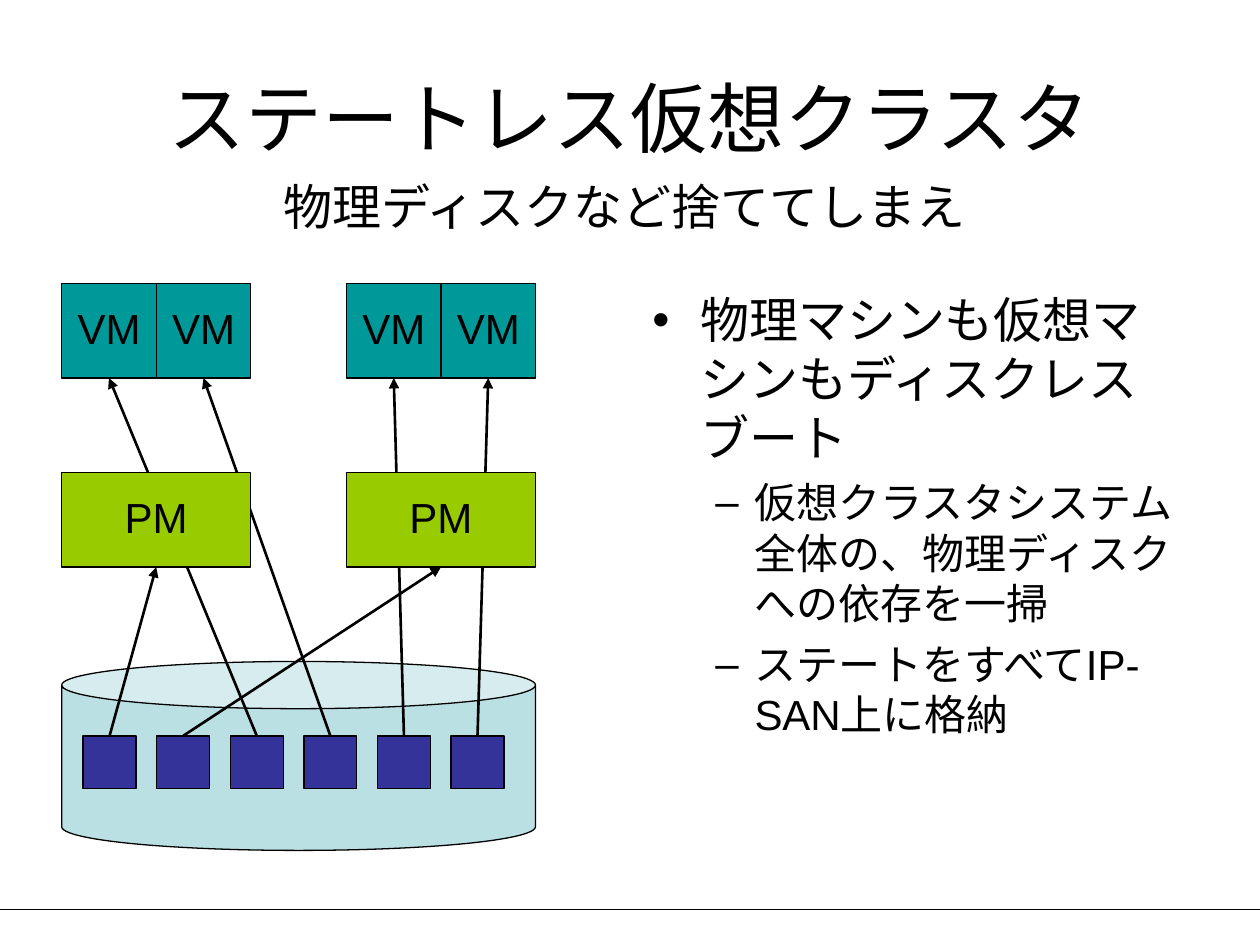
from lxml import etree
from pptx import Presentation
from pptx.dml.color import RGBColor
from pptx.enum.shapes import MSO_CONNECTOR, MSO_SHAPE
from pptx.enum.text import MSO_ANCHOR, PP_ALIGN
from pptx.oxml.ns import qn
from pptx.util import Inches, Pt

STRAIGHT = MSO_CONNECTOR.STRAIGHT
RECTANGLE, CAN = MSO_SHAPE.RECTANGLE, MSO_SHAPE.CAN
MIDDLE, TOP = MSO_ANCHOR.MIDDLE, MSO_ANCHOR.TOP
CENTER, LEFT = PP_ALIGN.CENTER, PP_ALIGN.LEFT
TITLE_ONLY = 5
TOP_SIDE, BOTTOM_SIDE = 0, 2

BLACK, TEAL, GREEN = "000000", "009999", "99CC00"
NAVY, PALE_BLUE = "333399", "BBE0E3"

GROUP_LEFTS = (0.49, 2.75)
UNIT = 0.75
DISK_COUNT, DISK_SIZE = 6, 0.42
FIRST_DISK, LAST_DISK = 0.66, 3.58

BULLETS = [
    ("物理マシンも仮想マシンもディスクレスブート", 0),
    ("仮想クラスタシステム全体の、物理ディスクへの依存を一掃", 1),
    ("ステートをすべてIP-SAN上に格納", 1),
]
# For each level: bullet, left margin, hanging indent, text size, space before
LEVELS = [("•", 0.38, 0.38, 28, 0), ("–", 0.81, 0.31, 24, 6)]


def colour(value):
    return RGBColor.from_string(value)


def write(para, text, size, align=LEFT):
    para.alignment = align
    span = para.add_run()
    span.text = text
    span.font.size = Pt(size)
    span.font.name = "Arial"
    span.font.color.rgb = colour(BLACK)


def set_frame(frame, anchor=MIDDLE, wrap=False, top=0):
    frame.word_wrap = wrap
    frame.vertical_anchor = anchor
    frame.margin_left = frame.margin_right = Inches(0.1)
    frame.margin_top, frame.margin_bottom = Inches(top), Inches(0.05)


def add_box(page, left, top, width, height, fill, text="", kind=RECTANGLE):
    box = page.shapes.add_shape(
        kind, Inches(left), Inches(top), Inches(width), Inches(height))
    box.shadow.inherit = False
    box.fill.solid()
    box.fill.fore_color.rgb = colour(fill)
    box.line.color.rgb = colour(BLACK)
    box.line.width = Pt(0.75)
    if text:
        set_frame(box.text_frame)
        write(box.text_frame.paragraphs[0], text, 24, CENTER)
    return box


def add_line(page, start, end, width):
    line = page.shapes.add_connector(
        STRAIGHT, *(Inches(value) for value in (*start, *end)))
    line.line.color.rgb = colour(BLACK)
    line.line.width = Pt(width)
    etree.SubElement(line._element.spPr, qn("a:effectLst"))
    return line


def add_arrow(page, source, target):
    """Join the top of the source to the bottom of the target."""
    arrow = add_line(page, (0, 0), (1, 1), 1.5)
    arrow.begin_connect(source, TOP_SIDE)
    arrow.end_connect(target, BOTTOM_SIDE)
    etree.SubElement(arrow.line._get_or_add_ln(), qn("a:tailEnd"), type="triangle")


def add_bullet(para, text, level):
    mark, margin, hanging, size, before = LEVELS[level]
    para.level = level
    properties = para._p.get_or_add_pPr()
    properties.set("marL", str(Inches(margin)))
    properties.set("indent", str(-Inches(hanging)))
    etree.SubElement(properties, qn("a:buFont"), typeface="Arial")
    etree.SubElement(properties, qn("a:buChar"), char=mark)
    para.space_before = Pt(before)
    write(para, text, size)


def add_headings(page):
    title = page.shapes.title
    title.left, title.top = Inches(0.5), Inches(0.3)
    title.width, title.height = Inches(9), Inches(1.25)
    set_frame(title.text_frame, wrap=True, top=0.05)
    write(title.text_frame.paragraphs[0], "ステートレス仮想クラスタ", 44, CENTER)
    subtitle = page.shapes.add_textbox(
        Inches(2.14), Inches(1.4), Inches(5.63), Inches(0.52))
    set_frame(subtitle.text_frame, TOP)
    write(subtitle.text_frame.paragraphs[0],
          "物理ディスクなど捨ててしまえ", 28, CENTER)


def add_cluster(page):
    virtual = [add_box(page, left + UNIT * i, 2.25, UNIT, UNIT, TEAL, "VM")
               for left in GROUP_LEFTS for i in range(2)]
    add_box(page, 0.49, 5.25, 3.76, 1.5, PALE_BLUE, kind=CAN)
    pitch = (LAST_DISK - FIRST_DISK) / (DISK_COUNT - 1)
    disks = [add_box(page, FIRST_DISK + pitch * i, 5.84, DISK_SIZE, DISK_SIZE, NAVY)
             for i in range(DISK_COUNT)]
    # Arrows to the virtual machines pass behind the physical ones
    for disk, machine in zip(disks[2:], virtual):
        add_arrow(page, disk, machine)
    physical = [add_box(page, left, 3.75, 2 * UNIT, UNIT, GREEN, "PM")
                for left in GROUP_LEFTS]
    for disk, machine in zip(disks, physical):
        add_arrow(page, disk, machine)


def add_bullets(page):
    body = page.shapes.add_textbox(
        Inches(5.08), Inches(2.25), Inches(4.42), Inches(4.45))
    frame = body.text_frame
    set_frame(frame, TOP, wrap=True, top=0.05)
    for index, (text, level) in enumerate(BULLETS):
        para = frame.add_paragraph() if index else frame.paragraphs[0]
        add_bullet(para, text, level)


def main():
    deck = Presentation()
    deck.slide_width, deck.slide_height = Inches(10), Inches(7.5)
    page = deck.slides.add_slide(deck.slide_layouts[TITLE_ONLY])
    add_line(page, (0, 7.22), (10, 7.22), 0.75)
    add_headings(page)
    add_cluster(page)
    add_bullets(page)
    deck.save("out.pptx")


if __name__ == "__main__":
    main()
